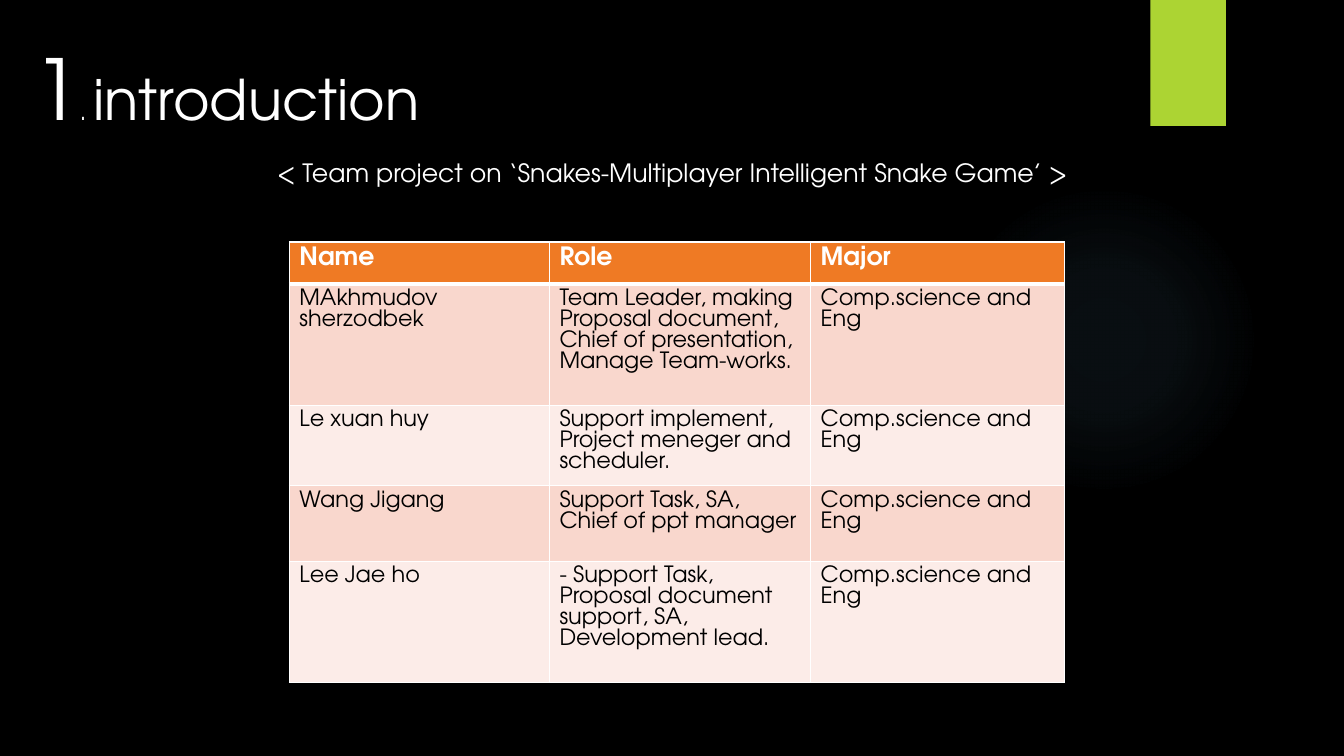
from lxml import etree
from pptx import Presentation
from pptx import util as u
from pptx.dml.color import RGBColor
from pptx.enum import shapes, text
from pptx.oxml import ns

FONT = "TeX Gyre Adventor"
COLORS = {
    "back": "000000", "white": "FFFFFF", "ink": "000000", "green": "ACD433",
    "glow": "7AC4F0", "header": "EF7A24", "odd": "F9D7CD", "even": "FCECE8",
}
MAJOR = "Comp.science and Eng"
TEAM = [
    ("Name", "Role", "Major"),
    ("MAkhmudov sherzodbek",
     "Team Leader, making Proposal document, Chief of presentation, Manage Team-works.", MAJOR),
    ("Le xuan huy", "Support implement, Project meneger and scheduler.", MAJOR),
    ("Wang Jigang", "Support Task, SA, Chief of ppt manager", MAJOR),
    ("Lee Jae ho", "- Support Task, Proposal document support, SA, Development lead.", MAJOR),
]
COLUMN_WIDTHS = (2.58, 2.59, 2.52)
ROW_HEIGHTS = (0.42, 1.2, 0.8, 0.75, 1.2)


def color(name):
    return RGBColor.from_string(COLORS[name])


def inches(box):
    return [u.Inches(length) for length in box]


def child(parent, tag, **attributes):
    return etree.SubElement(parent, ns.qn(tag), attributes)


def add_span(para, words, size, tint="white", bold=False):
    span = para.add_run()
    span.text = words
    formats = {"name": FONT, "size": u.Pt(size), "bold": bold}
    for key, value in formats.items():
        setattr(span.font, key, value)
    span.font.color.rgb = color(tint)


def add_plain_shape(page, kind, box, tint):
    shape = page.shapes.add_shape(kind, *inches(box))
    shape.shadow.inherit = False
    shape.fill.solid()
    shape.fill.fore_color.rgb = color(tint)
    shape.line.fill.background()
    return shape


def add_glow(page, box):
    glow = add_plain_shape(page, shapes.MSO_SHAPE.OVAL, box, "glow")
    solid = glow.fill._xPr.find(ns.qn("a:solidFill"))
    gradient = etree.Element(ns.qn("a:gradFill"), rotWithShape="1")
    stops = child(gradient, "a:gsLst")
    for position, opacity in ((0, 7), (36, 6), (69, 0), (100, 0)):
        stop = child(stops, "a:gs", pos=str(position * 1000))
        tint = child(stop, "a:srgbClr", val=COLORS["glow"])
        child(tint, "a:alpha", val=str(opacity * 1000))
    radial = child(gradient, "a:path", path="circle")
    child(radial, "a:fillToRect", l="50000", t="50000", r="50000", b="50000")
    solid.getparent().replace(solid, gradient)


def add_text(page, box, spans, wrap=True):
    frame = page.shapes.add_textbox(*inches(box)).text_frame
    formats = {
        "word_wrap": wrap,
        "auto_size": text.MSO_AUTO_SIZE.SHAPE_TO_FIT_TEXT,
        "vertical_anchor": text.MSO_ANCHOR.TOP,
    }
    for key, value in formats.items():
        setattr(frame, key, value)
    for words, size in spans:
        add_span(frame.paragraphs[0], words, size)


def add_borders(cell, top, bottom):
    properties = cell._tc.get_or_add_tcPr()
    sides = {"a:lnL": 1, "a:lnR": 1, "a:lnT": top, "a:lnB": bottom}
    for index, (side, width) in enumerate(sides.items()):
        line = etree.Element(ns.qn(side), w=str(u.Pt(width)))
        child(child(line, "a:solidFill"), "a:srgbClr", val=COLORS["white"])
        properties.insert(index, line)


def add_team_table(page, left, top):
    box = (left, top, sum(COLUMN_WIDTHS), sum(ROW_HEIGHTS))
    table = page.shapes.add_table(len(TEAM), len(COLUMN_WIDTHS), *inches(box)).table
    for column, width in zip(table.columns, COLUMN_WIDTHS):
        column.width = u.Inches(width)
    for index, (row, height, entries) in enumerate(zip(table.rows, ROW_HEIGHTS, TEAM)):
        row.height = u.Inches(height)
        header = index == 0
        fill = "header" if header else ("even", "odd")[index % 2]
        for cell, words in zip(row.cells, entries):
            cell.fill.solid()
            cell.fill.fore_color.rgb = color(fill)
            para = cell.text_frame.paragraphs[0]
            if header:
                add_span(para, words, 18, bold=True)
            else:
                add_span(para, words, 16, "ink")
            add_borders(cell, 3 if index == 1 else 1, 3 if header else 1)


def build_introduction(deck):
    page = deck.slides.add_slide(deck.slide_layouts[6])
    page.background.fill.solid()
    page.background.fill.fore_color.rgb = color("back")
    add_glow(page, (9.41, 1.83, 3.08, 3.08))
    add_plain_shape(page, shapes.MSO_SHAPE.RECTANGLE, (11.41, 0, 0.75, 1.25), "green")
    add_team_table(page, 2.87, 2.4)
    add_text(page, (2.65, 1.51, 8.11, 0.71),
             [("< Team project on ‘Snakes-Multiplayer Intelligent Snake Game’ >", 18)])
    add_text(page, (0.23, 0.31, 4.09, 1.11),
             [("1", 60), (". ", 18), ("introduction", 40)], wrap=False)


def main():
    deck = Presentation()
    deck.slide_width, deck.slide_height = inches((13.33, 7.5))
    build_introduction(deck)
    deck.save("out.pptx")


if __name__ == "__main__":
    main()
